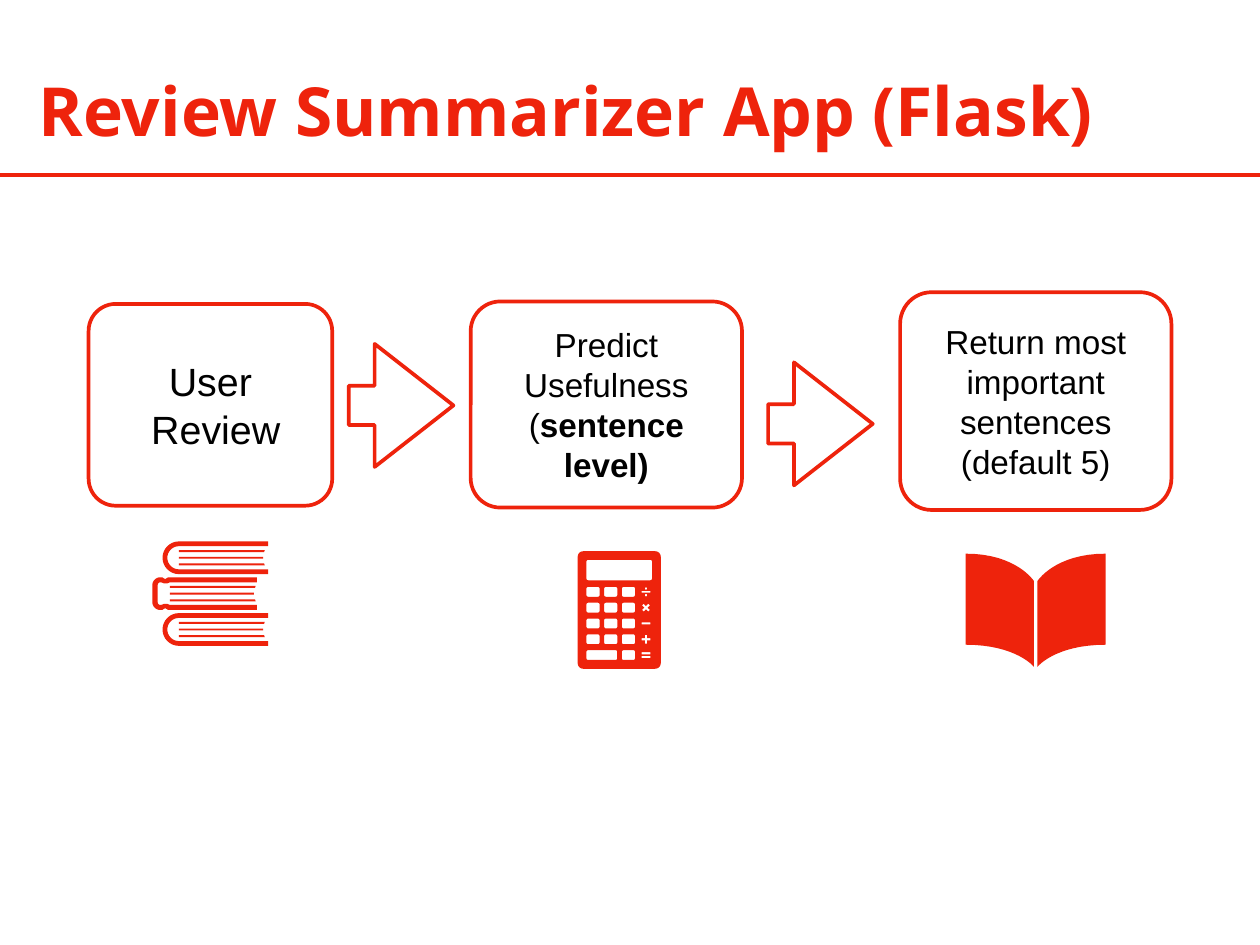
import math

import pptx
import pptx.dml.color
import pptx.enum.shapes
import pptx.enum.text
import pptx.oxml
import pptx.util

Pt = pptx.util.Pt
Shapes = pptx.enum.shapes.MSO_SHAPE
RED = pptx.dml.color.RGBColor(0xEE, 0x23, 0x0C)
WHITE = pptx.dml.color.RGBColor(0xFF, 0xFF, 0xFF)
BLACK = pptx.dml.color.RGBColor(0x00, 0x00, 0x00)
CENTER = pptx.enum.text.PP_ALIGN.CENTER
LEFT = pptx.enum.text.PP_ALIGN.LEFT
FRAME_FORMAT = {
    "word_wrap": True,
    "vertical_anchor": pptx.enum.text.MSO_ANCHOR.MIDDLE,
    "margin_left": Pt(4),
    "margin_right": Pt(4),
    "margin_top": Pt(4),
    "margin_bottom": Pt(4),
}
TITLE_FORMAT = {"name": "Noto Sans", "size": Pt(55), "bold": True}


def apply_format(target, values):
    for name, value in values.items():
        setattr(target, name, value)


def write_text(box, paragraphs, font_format, color, alignment):
    frame = box.text_frame
    apply_format(frame, FRAME_FORMAT)
    for index, spans in enumerate(paragraphs):
        para = frame.add_paragraph() if index else frame.paragraphs[0]
        para.alignment = alignment
        for text, extra in spans:
            span = para.add_run()
            span.text = text
            apply_format(span.font, {**font_format, **extra})
            span.font.color.rgb = color


def add_title(page, text):
    box = page.shapes.add_textbox(Pt(27.5), Pt(52.5), Pt(905), Pt(73))
    write_text(box, [[(text, {})]], TITLE_FORMAT, RED, LEFT)


def add_rule(page, width, top):
    rule = page.shapes.add_connector(
        pptx.enum.shapes.MSO_CONNECTOR.STRAIGHT, 0, Pt(top), Pt(width), Pt(top))
    rule.line.color.rgb = RED
    rule.line.width = Pt(3)
    effects = pptx.oxml.parse_xml(
        '<a:effectLst xmlns:a="http://schemas.openxmlformats.org/drawingml/2006/main"/>')
    rule._element.spPr.append(effects)


def add_outlined(page, kind, place, adjustments):
    shape = page.shapes.add_shape(kind, *(Pt(length) for length in place))
    for index, value in enumerate(adjustments):
        shape.adjustments[index] = value
    shape.shadow.inherit = False
    shape.fill.solid()
    shape.fill.fore_color.rgb = WHITE
    shape.line.color.rgb = RED
    shape.line.width = Pt(3)
    return shape


def add_step(page, place, rounding, size, paragraphs):
    box = add_outlined(page, Shapes.ROUNDED_RECTANGLE, place, [rounding])
    write_text(box, paragraphs, {"name": "Arial", "size": Pt(size)}, BLACK, CENTER)


def add_icon(page, contours):
    scaled = [[(x * 100, y * 100) for x, y in contour] for contour in contours]
    builder = page.shapes.build_freeform(*scaled[0][0], scale=Pt(1) / 100)
    builder.add_line_segments(scaled[0][1:], close=True)
    for contour in scaled[1:]:
        builder.move_to(*contour[0])
        builder.add_line_segments(contour[1:], close=True)
    icon = builder.convert_to_shape()
    icon.shadow.inherit = False
    icon.fill.solid()
    icon.fill.fore_color.rgb = RED
    icon.line.fill.background()


def arc(x, y, radius, start, end, steps=8):
    angles = [math.radians(start + (end - start) * i / steps) for i in range(steps + 1)]
    return [(x + radius * math.cos(a), y + radius * math.sin(a)) for a in angles]


def curve(first, second, third, fourth, steps=16):
    points = []
    for i in range(steps + 1):
        t = i / steps
        weights = ((1 - t) ** 3, 3 * t * (1 - t) ** 2, 3 * t * t * (1 - t), t ** 3)
        corners = (first, second, third, fourth)
        points.append(tuple(sum(w * c[axis] for w, c in zip(weights, corners))
                            for axis in (0, 1)))
    return points


def rounded(left, top, width, height, radius):
    right, bottom = left + width - radius, top + height - radius
    left, top = left + radius, top + radius
    return (arc(left, top, radius, 180, 270) + arc(right, top, radius, 270, 360)
            + arc(right, bottom, radius, 0, 90) + arc(left, bottom, radius, 90, 180))


def bar(x, y, height):
    left, right, top, bottom = x - 3.6, x + 3.6, y - height / 2, y + height / 2
    return [(left, top), (right, top), (right, bottom), (left, bottom)]


def cross(x, y, turn):
    points = []
    for quarter in range(4):
        a = math.radians(turn + 90 * quarter)
        for along, across in ((3.6, -0.95), (3.6, 0.95), (0.95, 0.95)):
            points.append((x + along * math.cos(a) - across * math.sin(a),
                           y + along * math.sin(a) + across * math.cos(a)))
    return points


def calculator():
    contours = [rounded(469.5, 448, 67.5, 95.5, 4.5), rounded(476.6, 455, 53.3, 16.6, 1.4)]
    rows = [481 + 12.85 * row for row in range(5)]
    for row, y in enumerate(rows):
        keys = ((0, 10.7), (14.4, 10.7), (28.8, 10.7)) if row < 4 else ((0, 25), (28.8, 10.7))
        contours += [rounded(476.6 + x, y - 4, width, 8, 1.4) for x, width in keys]
    x = 525
    contours += [rounded(x - 1, rows[0] + shift - 1, 2, 2, 1) for shift in (-2.7, 2.7)]
    contours += [bar(x, rows[0], 1.5), cross(x, rows[1], 45), bar(x, rows[2], 1.7),
                 cross(x, rows[3], 0)]
    contours += [bar(x, rows[4] + shift, 1.8) for shift in (-1.5, 1.5)]
    return contours


def open_book():
    pages = []
    for side in (-1, 1):
        inner, middle, outer = (841.7 + side * gap for gap in (1.4, 15.5, 56.9))
        top = curve((outer, 450), (middle, 450), (inner, 472.3), (inner, 472.3))
        bottom = curve((inner, 542), (inner, 542), (middle, 524), (outer, 524))
        pages.append(top + bottom)
    return pages


def cover(outer, inner, middle):
    def place(points, side):
        return [(x, middle + side * y) for x, y in points]
    return (place(outer, 1) + place(outer[::-1], -1)
            + place(inner, -1) + place(inner[::-1], 1))


def page_lines(left, middle):
    lines = []
    for shift, upper, lower in ((-5.4, 69.8, 69.2), (0, 68.4, 68.4), (5.4, 69.2, 69.8)):
        top, bottom = middle + shift - 0.8, middle + shift + 0.8
        lines.append([(left, top), (left + upper, top), (left + lower, bottom), (left, bottom)])
    return lines


def book_stack():
    round_outer, round_inner = ([(218, -radius)] + arc(145.4, 0, radius, 270, 180)
                                for radius in (13.3, 9.4))
    spine_outer = ([(208.8, -13.3), (136.8, -13.3), (134.6, -12), (133.9, -12), (131.8, -13.3)]
                   + arc(130.3, -6.8, 6.5, 270, 180))
    spine_inner = ([(208.8, -9.2), (138.2, -9.2), (136.1, -8.4), (133.2, -8.4), (131, -9.2)]
                   + arc(130.3, -7.1, 2.1, 270, 180))
    books = [(round_outer, round_inner, 145.4), (spine_outer, spine_inner, 138),
             (round_outer, round_inner, 145.4)]
    contours = []
    for index, (outer, inner, left) in enumerate(books):
        middle = 453.3 + 29.15 * index
        contours += [cover(outer, inner, middle)] + page_lines(left, middle)
    return contours


def main():
    deck = pptx.Presentation()
    apply_format(deck, {"slide_width": Pt(1024), "slide_height": Pt(768)})
    page = deck.slides.add_slide(deck.slide_layouts[6])
    add_title(page, "Review Summarizer App (Flask)")
    add_rule(page, 1024, 142.5)
    add_step(page, (382.5, 245, 220.5, 167.5), 0.144, 27,
             [[("Predict Usefulness (", {}), ("sentence level)", {"bold": True})]])
    add_step(page, (731.5, 237.5, 220.5, 177), 0.145, 27,
             [[("Return most important sentences", {})], [("(default 5)", {})]])
    add_step(page, (72, 247, 198, 164), 0.134, 32, [[("User", {})], [(" Review", {})]])
    for contours in (calculator(), open_book(), book_stack()):
        add_icon(page, contours)
    for left, top in ((283.5, 279.5), (624.25, 294.5)):
        add_outlined(page, Shapes.RIGHT_ARROW, (left, top, 85, 100), [0.32, 0.753])
    deck.save("out.pptx")


if __name__ == "__main__":
    main()
